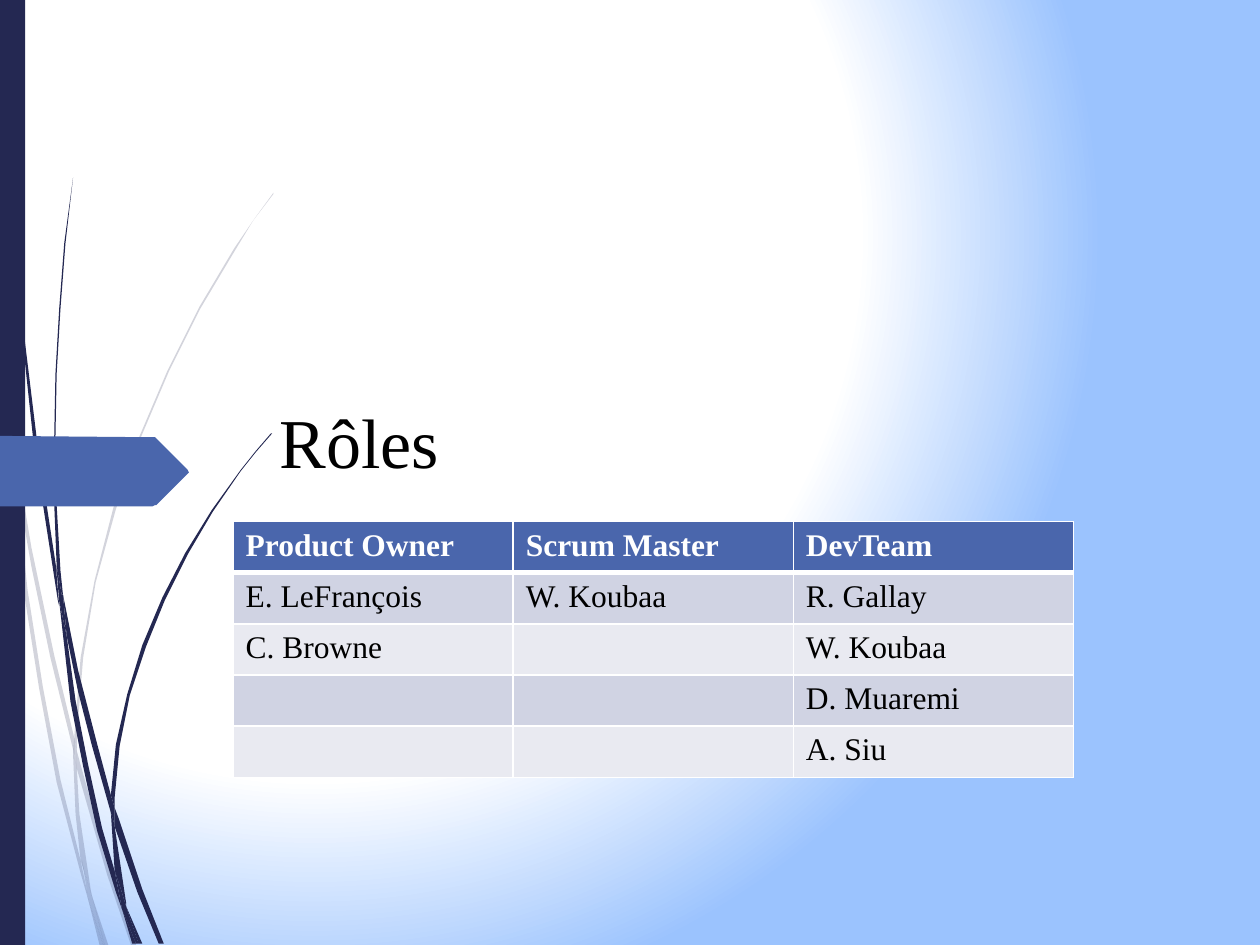
import pptx
import pptx.dml.color
import pptx.enum.shapes
import pptx.enum.text
import pptx.oxml
import pptx.oxml.ns
import pptx.util
from pptx.util import Inches

FONT = "Times New Roman"
COLORS = {"navy": "242852", "blue": "4A66AC", "sky": "9BC3FE", "white": "FFFFFF",
          "black": "000000", "odd": "D0D3E3", "even": "E9EAF1"}

# Outlines as x y pairs in inches
PALE = [
    "0.08 3.5 0.06 3.22 0 2.82 0 2.99 0.07 3.44",
    "0.4 5.22 0.59 5.99 0.59 5.86 0.43 5.2 0.25 4.35 0.1 3.45 0.12 3.76 0.25 4.5",
    "0.64 6.07 0.61 5.96 0.61 6.1 0.85 6.94 1.04 7.5 1.08 7.5 0.88 6.92",
    "0.83 7.5 0.86 7.5 0.73 7.11",
    "0.64 6.83 0.48 6.19 0.34 5.45 0.22 4.69 0.12 3.76 0.08 3.5 0.19 4.7 "
    "0.31 5.46 0.45 6.21 0.64 6.93 0.7 7.14 0.69 7.07",
    "0.58 5.99 0.6 6.46 0.64 6.83 0.67 6.92 0.73 7.11 0.72 7.06 0.63 6.46 0.61 6.1 0.61 6.08",
    "0.61 5.84 0.66 5.22 0.76 4.62 0.92 4.04 1.11 3.49 1.34 2.95 1.59 2.45 1.87 1.98 "
    "2.01 1.75 2.17 1.54 2.17 1.53 2.01 1.75 1.86 1.97 1.58 2.44 1.33 2.94 1.1 3.48 "
    "0.9 4.03 0.75 4.61 0.64 5.22 0.59 5.84 0.59 5.86 0.61 5.96",
    "0.7 7.14 0.79 7.5 0.82 7.5",
    "0.61 6.08 0.61 6.1 0.61 5.96 0.59 5.86 0.58 5.99",
    "0.67 6.92 0.65 6.83 0.69 7.07 0.7 7.14 0.82 7.5 0.83 7.5 0.73 7.11",
]
DARK = [
    "0.05 1.1 0.14 2.33 0.27 3.55 0.46 4.77 0.47 4.81 0.45 4.57 0.45 4.53 0.3 3.55 "
    "0.15 2.32 0.06 1.09 0.04 0.48 0.03 0 0.02 0 0.03 0.48",
    "0.73 5.92 0.88 6.45 0.88 6.33 0.88 6.31 0.77 5.9 0.62 5.32 0.5 4.72 0.53 5.05 0.62 5.49",
    "0.94 6.49 0.91 6.41 0.91 6.56 1.09 7.08 1.26 7.49 1.3 7.49 1.13 7.06",
    "0.91 6.91 0.81 6.57 0.7 6.07 0.6 5.56 0.53 5.05 0.47 4.77 0.56 5.57 0.66 6.08 "
    "0.77 6.59 0.92 7.08 0.97 7.22 0.96 7.17",
    "0.5 4.72 0.48 4.53 0.45 4.01 0.44 3.49 0.45 2.97 0.48 2.45 0.52 1.93 0.58 1.41 "
    "0.58 1.41 0.51 1.93 0.47 2.45 0.44 2.97 0.43 3.49 0.43 3.99 0.45 4.49 0.49 4.72",
    "1.1 7.49 1.13 7.49 1 7.19",
    "0.47 4.77 0.53 5.05 0.5 4.72 0.49 4.72 0.45 4.49 0.45 4.53",
    "0.91 6.33 0.95 5.92 1.03 5.52 1.16 5.13 1.31 4.76 1.49 4.4 1.69 4.06 1.91 3.74 "
    "2.03 3.59 2.16 3.44 2.15 3.44 2.03 3.58 1.91 3.73 1.68 4.05 1.47 4.39 1.29 4.74 "
    "1.13 5.12 1.01 5.51 0.92 5.91 0.88 6.31 0.91 6.41",
    "0.97 7.22 1.05 7.49 1.08 7.49",
    "0.88 6.45 0.91 6.91 0.96 7.06 1 7.19 1 7.16 0.91 6.56 0.9 6.51",
    "0.88 6.45 0.9 6.51 0.91 6.56 0.91 6.41 0.88 6.31 0.88 6.33",
    "0.96 7.06 0.91 6.91 0.96 7.17 0.97 7.22 1.08 7.49 1.1 7.49 1 7.19",
]
ARROW = ("1.49 3.76 1.24 4.01 1.23 4.01 1.21 4.02 0 4.02 0 3.46 1.11 3.47 1.21 3.47 "
         "1.23 3.47 1.24 3.48 1.49 3.73 1.5 3.75")

ROLES = [
    ("Product Owner", "Scrum Master", "DevTeam"),
    ("E. LeFrançois", "W. Koubaa", "R. Gallay"),
    ("C. Browne", "", "W. Koubaa"),
    ("", "", "D. Muaremi"),
    ("", "", "A. Siu"),
]


def rgb(name):
    return pptx.dml.color.RGBColor.from_string(COLORS[name])


def xml(tag, inner="", attrs=""):
    names = pptx.oxml.ns.nsdecls("a")
    return pptx.oxml.parse_xml(f"<a:{tag} {names} {attrs}>{inner}</a:{tag}>")


def paint(shape, color, alpha=None):
    shape.shadow.inherit = False
    shape.fill.solid()
    shape.fill.fore_color.rgb = rgb(color)
    shape.line.fill.background()
    if alpha:
        tone = next(shape.element.spPr.iter(pptx.oxml.ns.qn("a:srgbClr")))
        tone.append(xml("alpha", attrs=f'val="{alpha * 1000}"'))


def add_free(shapes, outline, color, alpha=None):
    nums = [Inches(float(n)) for n in outline.split()]
    dots = list(zip(nums[::2], nums[1::2]))
    pen = shapes.build_freeform(*dots[0])
    pen.add_line_segments(dots[1:], close=True)
    paint(pen.convert_to_shape(), color, alpha)


def add_blades(slide, blades, color, alpha=None):
    group = slide.shapes.add_group_shape()
    for blade in blades:
        add_free(group.shapes, blade, color, alpha)


def write(frame, text, size=18, color="black", bold=False):
    para = frame.paragraphs[0]
    para.font.size = pptx.util.Pt(size)
    if text:
        run = para.add_run()
        run.text = text
        run.font.name = FONT
        run.font.size = pptx.util.Pt(size)
        run.font.bold = bold
        run.font.color.rgb = rgb(color)


def edge(cell, side, width):
    fill = f'<a:solidFill><a:srgbClr val="{COLORS["white"]}"/></a:solidFill>'
    line = xml("ln" + side, fill, f'w="{pptx.util.Pt(width)}"')
    cell._tc.get_or_add_tcPr().append(line)


def add_back(slide):
    fill = slide.background.fill
    fill.gradient()
    for stop, (place, color) in zip(fill.gradient_stops, [(0.69, "white"), (1, "sky")]):
        stop.position = place
        stop.color.rgb = rgb(color)
    old = next(slide.element.iter(pptx.oxml.ns.qn("a:lin")))
    rect = '<a:fillToRect l="50000" t="50000" r="100000" b="100000"/>'
    old.getparent().replace(old, xml("path", rect, 'path="circle"'))


def add_title(slide, text):
    box = slide.shapes.add_textbox(Inches(2.12), Inches(2.27), Inches(7.21), Inches(1.61))
    box.text_frame.word_wrap = True
    box.text_frame.vertical_anchor = pptx.enum.text.MSO_ANCHOR.BOTTOM
    write(box.text_frame, text, size=40)


def add_roles(slide, rows):
    count = len(rows)
    table = slide.shapes.add_table(count, len(rows[0]), Inches(1.85), Inches(4.14),
                                   Inches(6.67), Inches(2.03)).table
    for r, row in enumerate(rows):
        head = r == 0
        shade = "blue" if head else "odd" if r % 2 else "even"
        for c, text in enumerate(row):
            cell = table.cell(r, c)
            for side in "LRTB":
                thick = (head and side == "B") or (r == 1 and side == "T")
                edge(cell, side, 3 if thick else 1)
            cell.fill.solid()
            cell.fill.fore_color.rgb = rgb(shade)
            write(cell.text_frame, text, color="white" if head else "black", bold=head)


def main():
    deck = pptx.Presentation()
    deck.slide_width, deck.slide_height = Inches(10), Inches(7.5)
    slide = deck.slides.add_slide(deck.slide_layouts[6])

    # Backdrop
    add_back(slide)
    add_blades(slide, PALE, "navy", alpha=20)
    add_blades(slide, DARK, "navy")
    bar = slide.shapes.add_shape(pptx.enum.shapes.MSO_SHAPE.RECTANGLE,
                                 0, 0, Inches(0.2), Inches(7.5))
    paint(bar, "navy")
    add_free(slide.shapes, ARROW, "blue")

    # Content
    add_title(slide, "Rôles")
    add_roles(slide, ROLES)
    deck.save("out.pptx")


if __name__ == "__main__":
    main()
